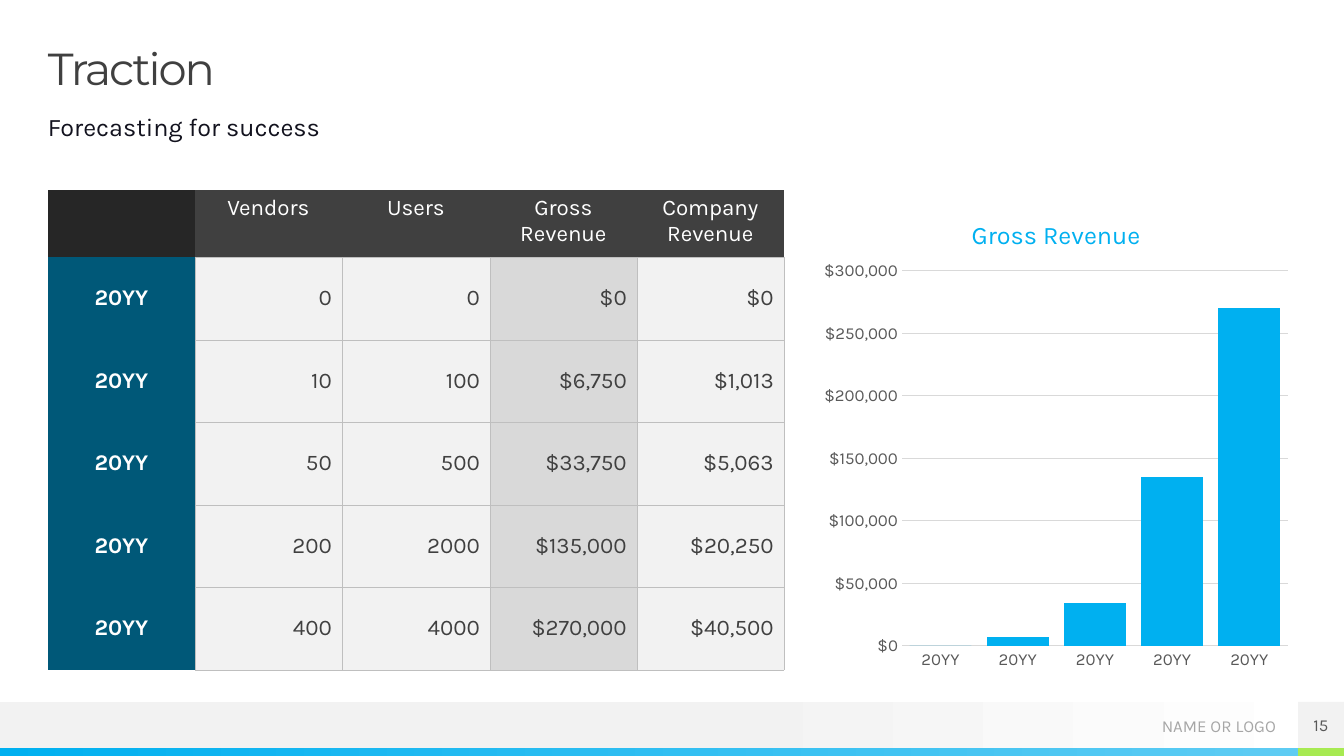
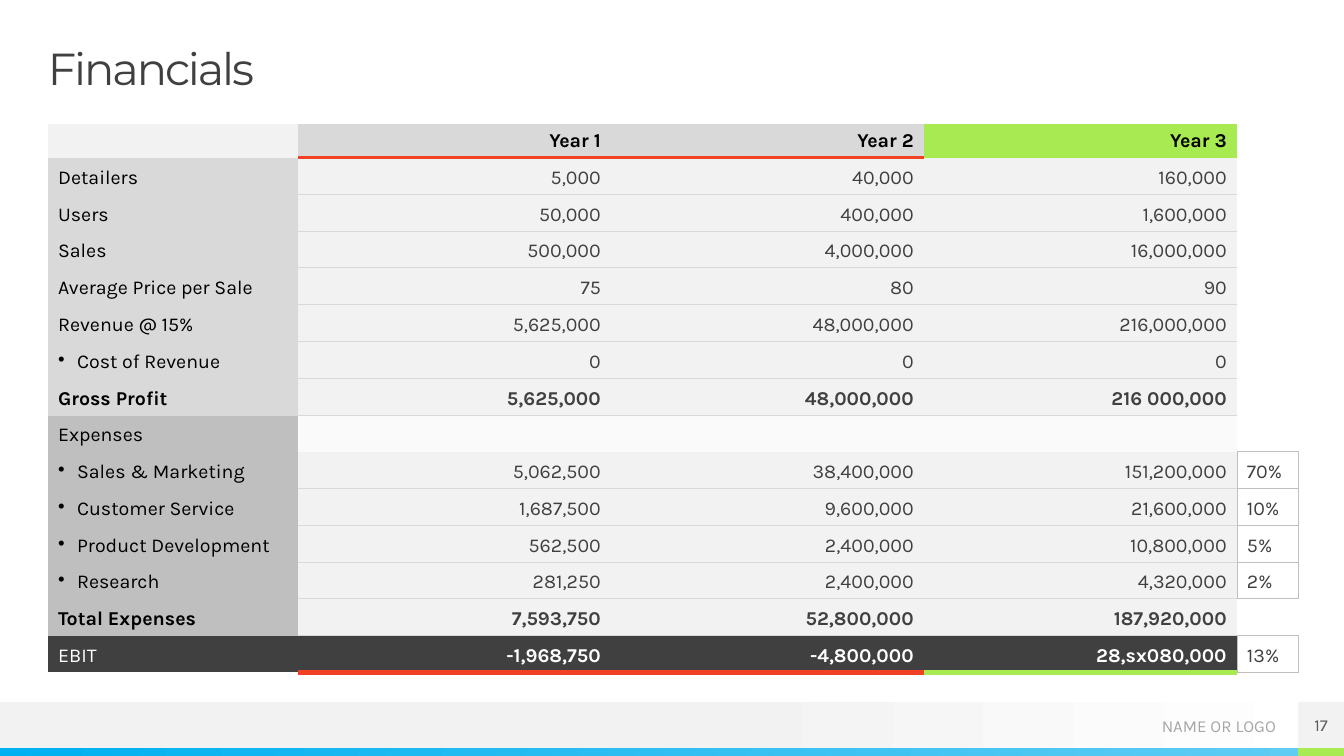
from dataclasses import dataclass

from lxml import etree
from pptx import Presentation
from pptx import util as u
from pptx.chart import data as chart_data
from pptx.dml import color
from pptx.enum import chart as charts, shapes, text
from pptx.oxml import ns

PX = 9071
LEFT, CENTER, RIGHT = text.PP_ALIGN.LEFT, text.PP_ALIGN.CENTER, text.PP_ALIGN.RIGHT
TOP, MIDDLE, BOTTOM = text.MSO_ANCHOR.TOP, text.MSO_ANCHOR.MIDDLE, text.MSO_ANCHOR.BOTTOM
PLAIN_TABLE = "{2D5ABB26-0587-4C30-8999-92F81FD0307C}"


@dataclass(frozen=True)
class Theme:
    heading_font: str = "Montserrat"
    body_font: str = "Karla"
    title_size: int = 32
    subtitle_size: int = 18
    forecast_size: int = 16
    financial_size: int = 14
    small_size: int = 12
    white: str = "FFFFFF"
    pale: str = "F2F2F2"
    light: str = "D9D9D9"
    silver: str = "BFBFBF"
    muted: str = "A6A6A6"
    gray: str = "595959"
    dark: str = "404040"
    charcoal: str = "262626"
    ink: str = "12121E"
    black: str = "000000"
    blue: str = "00B0F0"
    sky: str = "5ECCF3"
    navy: str = "005878"
    green: str = "A7EA52"
    red: str = "F14124"


theme = Theme()
rgb = color.RGBColor.from_string


def write_text(frame, words, size, ink, align=LEFT, bold=False, font=theme.body_font):
    paragraph = frame.paragraphs[0]
    paragraph.text = words
    paragraph.alignment = align
    for run in paragraph.runs:
        run.font.name = font
        run.font.size = u.Pt(size)
        run.font.bold = bold
        run.font.color.rgb = rgb(ink)
    if not words:
        etree.SubElement(paragraph._p, ns.qn("a:endParaRPr"), sz=str(size * 100))
    return paragraph


def style_cell(cell, fill, anchor, borders):
    properties = cell._tc.get_or_add_tcPr()
    for side in "LRTB":
        if side in borders:
            ink, points = borders[side]
            line = etree.SubElement(properties, ns.qn(f"a:ln{side}"), w=str(u.Pt(points)))
            solid = etree.SubElement(line, ns.qn("a:solidFill"))
            etree.SubElement(solid, ns.qn("a:srgbClr"), val=ink)
    cell.fill.solid()
    cell.fill.fore_color.rgb = rgb(fill)
    cell.vertical_anchor = anchor


presentation = Presentation()
presentation.slide_width = 1344 * PX
presentation.slide_height = 756 * PX

slides = []
for title, subtitle, number in [
    ("Traction", "Forecasting for success", "15"),
    ("Financials", "", "17"),
]:
    slide = presentation.slides.add_slide(presentation.slide_layouts[6])
    slides.append(slide)
    for box, stops in [
        ((0, 702, 1344, 46), [(0.53, theme.pale), (1, theme.white)]),
        ((0, 748, 1298, 8), [(0, theme.blue), (1, theme.sky)]),
        ((1298, 748, 46, 8), [(0, theme.green)]),
        ((1298, 702, 46, 46), [(0, theme.pale)]),
    ]:
        shape = slide.shapes.add_shape(shapes.MSO_SHAPE.RECTANGLE, *[n * PX for n in box])
        shape.shadow.inherit = False
        shape.line.fill.background()
        if len(stops) == 1:
            shape.fill.solid()
            shape.fill.fore_color.rgb = rgb(stops[0][1])
        else:
            shape.fill.gradient()
            shape.fill.gradient_angle = 0
            for stop, (position, ink) in zip(shape.fill.gradient_stops, stops):
                stop.position = position
                stop.color.rgb = rgb(ink)
    badge = shape

    footer, heading, subheading = [
        slide.shapes.add_textbox(*[n * PX for n in box]) if words else None
        for words, box in [
            ("NAME OR LOGO", (1050, 702, 226, 47)),
            (title, (48, 47, 1250, 47)),
            (subtitle, (48, 111, 1250, 39)),
        ]
    ]
    for shape, anchor in [(badge, MIDDLE), (footer, MIDDLE), (heading, TOP), (subheading, TOP)]:
        if shape:
            frame = shape.text_frame
            frame.word_wrap = True
            frame.vertical_anchor = anchor
            frame.margin_left = frame.margin_right = frame.margin_top = frame.margin_bottom = 0

    write_text(badge.text_frame, number, theme.small_size, theme.gray, CENTER)
    write_text(footer.text_frame, "NAME OR LOGO", theme.small_size, theme.muted, RIGHT)
    paragraph = write_text(
        heading.text_frame, title, theme.title_size, theme.dark, font=theme.heading_font
    )
    paragraph.line_spacing = 0.9
    paragraph.runs[0]._r.get_or_add_rPr().set("spc", "-150")
    if subheading:
        paragraph = write_text(subheading.text_frame, subtitle, theme.subtitle_size, theme.ink)
        paragraph.space_before = u.Pt(10)
        paragraph.space_after = u.Pt(5)

traction, financials = slides

forecast = [
    ("", "Vendors", "Users", "Gross Revenue", "Company Revenue"),
    ("20YY", "0", "0", "$0", "$0"),
    ("20YY", "10", "100", "$6,750", "$1,013"),
    ("20YY", "50", "500", "$33,750", "$5,063"),
    ("20YY", "200", "2000", "$135,000", "$20,250"),
    ("20YY", "400", "4000", "$270,000", "$40,500"),
]
accounts = [
    ("header", "", "Year 1", "Year 2", "Year 3", ""),
    ("plain", "Detailers", "5,000", "40,000", "160,000", ""),
    ("plain", "Users", "50,000", "400,000", "1,600,000", ""),
    ("plain", "Sales", "500,000", "4,000,000", "16,000,000", ""),
    ("plain", "Average Price per Sale", "75", "80", "90", ""),
    ("plain", "Revenue @ 15%", "5,625,000", "48,000,000", "216,000,000", ""),
    ("item", "Cost of Revenue", "0", "0", "0", ""),
    ("total", "Gross Profit", "5,625,000", "48,000,000", "216 000,000", ""),
    ("section", "Expenses", "", "", "", ""),
    ("item", "Sales & Marketing", "5,062,500", "38,400,000", "151,200,000", "70%"),
    ("item", "Customer Service", "1,687,500", "9,600,000", "21,600,000", "10%"),
    ("item", "Product Development", "562,500", "2,400,000", "10,800,000", "5%"),
    ("item", "Research", "281,250", "2,400,000", "4,320,000", "2%"),
    ("total", "Total Expenses", "7,593,750", "52,800,000", "187,920,000", ""),
    ("result", "EBIT", "-1,968,750", "-4,800,000", "28,sx080,000", "13%"),
]

tables = []
for slide, column_edges, row_edges in [
    (
        traction,
        [48 + round(736 * i / 5) for i in range(6)],
        [190] + [257 + round(413 * i / 5) for i in range(6)],
    ),
    (
        financials,
        [48, 298, 611, 924, 1237, 1298],
        [124] + [157 + round(515 * i / 14) for i in range(15)],
    ),
]:
    left, top = column_edges[0], row_edges[0]
    frame = slide.shapes.add_table(
        len(row_edges) - 1, len(column_edges) - 1,
        left * PX, top * PX,
        (column_edges[-1] - left) * PX, (row_edges[-1] - top) * PX,
    )
    table = frame.table
    table.first_row = table.horz_banding = False
    table._tbl.tblPr.find(ns.qn("a:tableStyleId")).text = PLAIN_TABLE
    for column, start, end in zip(table.columns, column_edges, column_edges[1:]):
        column.width = (end - start) * PX
    for row, start, end in zip(table.rows, row_edges, row_edges[1:]):
        row.height = (end - start) * PX
    tables.append(table)

forecast_table, financial_table = tables
outline = (theme.silver, 0.25)
hairline = (theme.light, 0.25)

for r, values in enumerate(forecast):
    for c, words in enumerate(values):
        ink, align, anchor, sides = theme.white, CENTER, MIDDLE, ""
        if r == 0:
            fill, anchor = theme.dark if c else theme.charcoal, TOP
            sides = "B" if c else ""
        elif c == 0:
            fill, sides = theme.navy, "R"
        else:
            fill = theme.light if c == 3 else theme.pale
            ink, align, sides = theme.dark, RIGHT, "LRTB"
        cell = forecast_table.cell(r, c)
        write_text(cell.text_frame, words, theme.forecast_size, ink, align, r > 0 and c == 0)
        style_cell(cell, fill, anchor, {side: outline for side in sides})

lines = {}
for r, (kind, *values) in enumerate(accounts):
    for c in (1, 2, 3):
        accent = theme.green if c == 3 else theme.red
        if kind == "header" and c < 3:
            lines[r, c, "B"] = lines[r + 1, c, "T"] = (accent, 3)
        elif kind in ("plain", "item"):
            lines[r, c, "B"] = lines[r + 1, c, "T"] = hairline
        elif kind == "result":
            lines[r, c, "B"] = (accent, 4.5)
    if values[4]:
        for edge in [(r, 4, side) for side in "LRTB"] + [(r, 3, "R"), (r - 1, 4, "B"), (r + 1, 4, "T")]:
            lines[edge] = outline

for r, (kind, *values) in enumerate(accounts):
    label_fill = theme.light if r < 8 else theme.silver
    label_fill = {"header": theme.pale, "result": theme.dark}.get(kind, label_fill)
    for c, words in enumerate(values):
        align, fill, ink = RIGHT, theme.pale, theme.dark
        bold = kind in ("header", "total", "result")
        if c == 0:
            align, fill, ink = LEFT, label_fill, theme.black
            bold = kind == "total"
        elif c == 4:
            align, fill, bold = LEFT, theme.white, False
        elif kind == "header":
            fill, ink = theme.green if c == 3 else theme.light, theme.black
        if kind == "result" and c < 4:
            fill, ink = theme.dark, theme.white
        cell = financial_table.cell(r, c)
        paragraph = write_text(cell.text_frame, words, theme.financial_size, ink, align, bold)
        style_cell(cell, fill, BOTTOM, {s: lines[r, c, s] for s in "LRTB" if (r, c, s) in lines})
        if kind == "item" and c == 0:
            properties = paragraph._p.get_or_add_pPr()
            properties.set("marL", str(19 * PX))
            properties.set("indent", str(-19 * PX))
            etree.SubElement(properties, ns.qn("a:buChar"), char="•")
        if kind == "section" and 0 < c < 4:
            solid = cell._tc.tcPr.find(ns.qn("a:solidFill"))
            etree.SubElement(solid[0], ns.qn("a:alpha"), val="36000")

revenue = chart_data.CategoryChartData(number_format="[$$-409]#,##0")
revenue.categories = ["20YY"] * 5
revenue.add_series("Series 1", [0, 7000, 34000, 135000, 270000])
chart_left, chart_top, chart_width, chart_height = 814, 190, 483, 490
chart = traction.shapes.add_chart(
    charts.XL_CHART_TYPE.COLUMN_CLUSTERED,
    *[n * PX for n in (chart_left, chart_top, chart_width, chart_height)],
    revenue,
).chart
chart.has_legend = False
chart.font.name = theme.body_font
chart.font.size = u.Pt(10)
chart.has_title = True
write_text(chart.chart_title.text_frame, "Gross Revenue", theme.subtitle_size, theme.blue, CENTER)
chart.chart_title.include_in_layout = False

plot = chart.plots[0]
plot.gap_width = 25
plot.vary_by_categories = False
bars = plot.series[0].format.fill
bars.solid()
bars.fore_color.rgb = rgb(theme.blue)

for axis in (chart.category_axis, chart.value_axis):
    axis.major_tick_mark = axis.minor_tick_mark = charts.XL_TICK_MARK.NONE
    axis.tick_labels.font.name = theme.body_font
    axis.tick_labels.font.size = u.Pt(theme.small_size)
    axis.tick_labels.font.color.rgb = rgb(theme.gray)
axis.minimum_scale, axis.maximum_scale, axis.major_unit = 0, 300000, 50000
axis.tick_labels.number_format = "[$$-409]#,##0"
axis.tick_labels.number_format_is_linked = False
axis.format.line.fill.background()
axis.has_major_gridlines = True
for line in (chart.category_axis.format.line, axis.major_gridlines.format.line):
    line.color.rgb = rgb(theme.light)
    line.width = u.Pt(0.75)

plot_area = chart._chartSpace.find(".//" + ns.qn("c:plotArea"))
for element, index, box in [
    (chart.chart_title._element, 1, (967, 214)),
    (plot_area, 0, (902, 271, 386, 375)),
]:
    for old in element.findall(ns.qn("c:layout")):
        element.remove(old)
    layout = etree.Element(ns.qn("c:layout"))
    element.insert(index, layout)
    manual = etree.SubElement(layout, ns.qn("c:manualLayout"))
    x, y, *extent = box
    sizes = [(x - chart_left) / chart_width, (y - chart_top) / chart_height]
    if extent:
        etree.SubElement(manual, ns.qn("c:layoutTarget"), val="inner")
        sizes += [extent[0] / chart_width, extent[1] / chart_height]
    for mode in ("xMode", "yMode"):
        etree.SubElement(manual, ns.qn(f"c:{mode}"), val="edge")
    for name, size in zip("xywh", sizes):
        etree.SubElement(manual, ns.qn(f"c:{name}"), val=f"{size:.4f}")

presentation.save("out.pptx")
